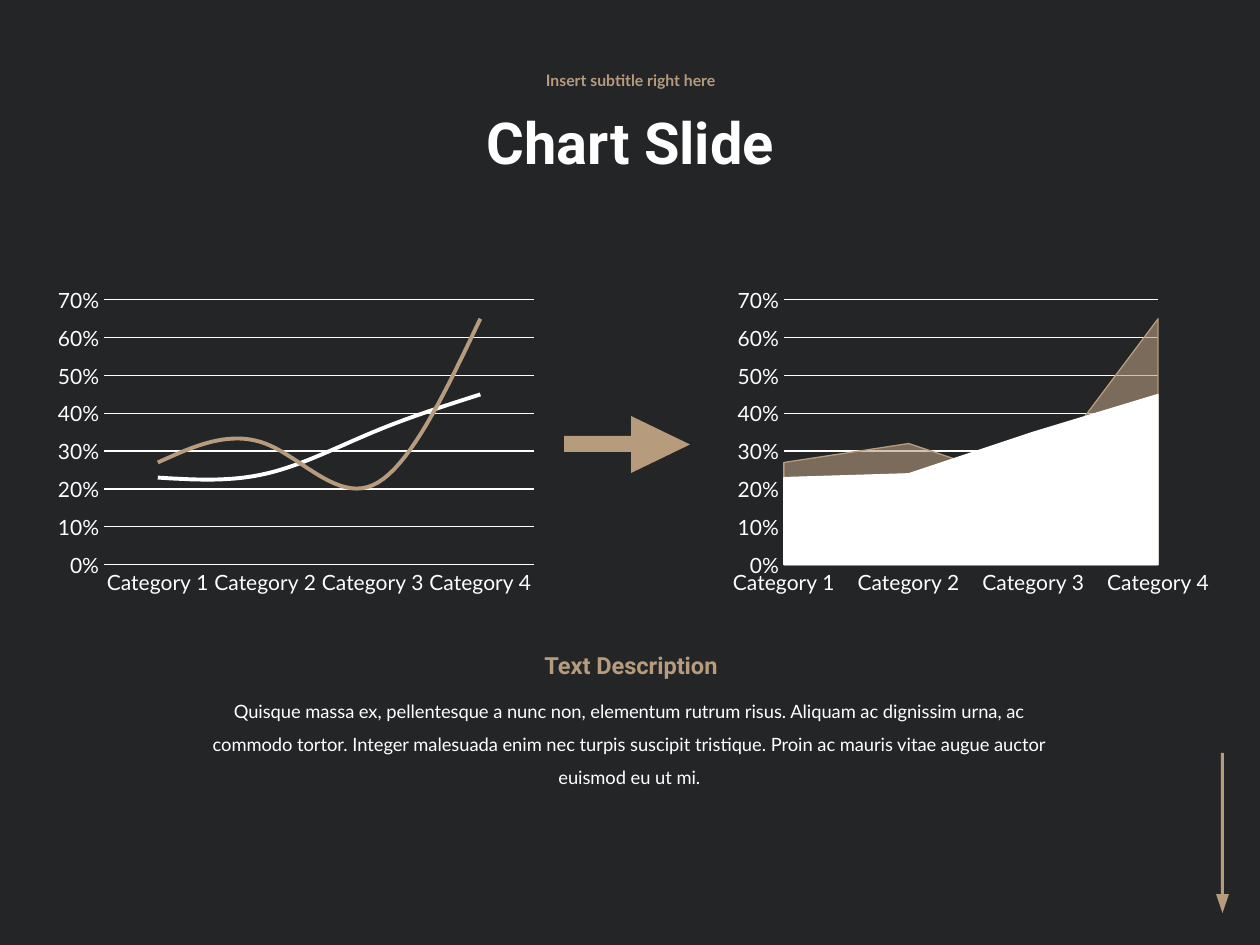
import pptx
import pptx.chart.data
import pptx.dml.color
import pptx.enum.chart
import pptx.enum.shapes
import pptx.enum.text
import pptx.oxml
import pptx.oxml.ns
import pptx.util

# Content
TITLE = "Chart Slide"
SUB = "Insert subtitle right here"
HEAD = "Text Description"
BODY = ("Quisque massa ex, pellentesque a nunc non, elementum rutrum risus. "
        "Aliquam ac dignissim urna, ac commodo tortor. Integer malesuada enim "
        "nec turpis suscipit tristique. Proin ac mauris vitae augue auctor "
        "euismod eu ut mi.")
CATS = [f"Category {n}" for n in range(1, 5)]
ROWS = [
    ("Series 1", (0.23, 0.24, 0.35, 0.45), "white"),
    ("Series 2", (0.27, 0.32, 0.21, 0.65), "tan"),
]
COLORS = {"back": "242527", "white": "FFFFFF", "tan": "B69B7D"}

KIND = pptx.enum.chart.XL_CHART_TYPE
FORM = pptx.enum.shapes.MSO_SHAPE
FIT = pptx.enum.text.MSO_AUTO_SIZE
ANCHOR = pptx.enum.text.MSO_ANCHOR

# Chart kind, left edge
CHARTS = [(KIND.LINE, 48), (KIND.AREA, 723)]
# Arrow parts: form, box, turn
PARTS = [
    (FORM.RECTANGLE, (564, 436, 67, 16), 0),
    (FORM.ISOSCELES_TRIANGLE, (632, 415, 57, 59), 90),
    (FORM.RECTANGLE, (1221, 753, 3, 141), 0),
    (FORM.ISOSCELES_TRIANGLE, (1216, 894, 13, 19), 180),
]


def px(*nums):
    return [round(n * 914400 / 126) for n in nums]


def rgb(name):
    return pptx.dml.color.RGBColor.from_string(COLORS[name])


def style(font, size, color="white", face="Lato", bold=False):
    font.size = pptx.util.Pt(size)
    font.name = face
    font.bold = bold
    font.color.rgb = rgb(color)


def write(shape, text, box, space=1.0, anchor=ANCHOR.TOP, **look):
    shape.left, shape.top, shape.width, shape.height = px(*box)
    frame = shape.text_frame
    frame.word_wrap = True
    frame.auto_size = FIT.NONE
    frame.vertical_anchor = anchor
    para = frame.paragraphs[0]
    para.alignment = pptx.enum.text.PP_ALIGN.CENTER
    para.line_spacing = space
    run = para.add_run()
    run.text = text
    style(run.font, **look)


def stroke(line, color, width):
    line.color.rgb = rgb(color)
    line.width = pptx.util.Pt(width)


def fade(fill, share):
    color = fill._xPr.find(".//" + pptx.oxml.ns.qn("a:srgbClr"))
    alpha = pptx.oxml.parse_xml(
        f'<a:alpha {pptx.oxml.ns.nsdecls("a")} val="{share * 1000}"/>')
    color.append(alpha)


def plot(slide, kind, left):
    data = pptx.chart.data.CategoryChartData(number_format="0%")
    data.categories = CATS
    for name, vals, _ in ROWS:
        data.add_series(name, vals)
    chart = slide.shapes.add_chart(kind, *px(left, 281, 496, 320), data).chart
    chart.has_legend = False
    chart.has_title = False
    style(chart.font, 10)
    # Axes
    for axis in (chart.category_axis, chart.value_axis):
        axis.major_tick_mark = pptx.enum.chart.XL_TICK_MARK.NONE
        axis.minor_tick_mark = pptx.enum.chart.XL_TICK_MARK.NONE
        style(axis.tick_labels.font, 12)
    stroke(chart.category_axis.format.line, "white", 0.75)
    chart.category_axis.has_major_gridlines = False
    scale = chart.value_axis
    scale.minimum_scale, scale.maximum_scale, scale.major_unit = 0, 0.7, 0.1
    scale.format.line.fill.background()
    scale.has_major_gridlines = True
    stroke(scale.major_gridlines.format.line, "white", 0.75)
    scale.tick_labels.number_format = "0%"
    scale.tick_labels.number_format_is_linked = False
    # Series
    chart.plots[0].vary_by_categories = False
    for row, (_, _, color) in zip(chart.plots[0].series, ROWS):
        if kind == KIND.LINE:
            row.smooth = True
            stroke(row.format.line, color, 2.25)
        else:
            fill = row.format.fill
            fill.solid()
            fill.fore_color.rgb = rgb(color)
            if color == "tan":
                fade(fill, 60)
            stroke(row.format.line, color, 0.75)


def main():
    deck = pptx.Presentation()
    deck.slide_width, deck.slide_height = px(1260, 945)
    slide = deck.slides.add_slide(deck.slide_layouts[5])
    slide.background.fill.solid()
    slide.background.fill.fore_color.rgb = rgb("back")

    # Title and texts
    def label():
        return slide.shapes.add_textbox(0, 0, 0, 0)

    write(slide.shapes.title, TITLE, (276, 81, 709, 130), space=0.9,
          anchor=ANCHOR.MIDDLE, size=33, face="Roboto", bold=True)
    write(label(), SUB, (276, 57, 709, 48), space=0.9,
          anchor=ANCHOR.MIDDLE, size=9, color="tan", bold=True)
    write(label(), HEAD, (493, 645, 276, 42), size=13.5,
          color="tan", face="Roboto", bold=True)
    write(label(), BODY, (181, 683, 897, 76), space=1.5, size=10.5)

    # Charts
    for kind, left in CHARTS:
        plot(slide, kind, left)

    # Arrows
    for form, box, turn in PARTS:
        part = slide.shapes.add_shape(form, *px(*box))
        part.rotation = turn
        part.shadow.inherit = False
        part.fill.solid()
        part.fill.fore_color.rgb = rgb("tan")
        part.line.fill.background()

    deck.save("out.pptx")


if __name__ == "__main__":
    main()
